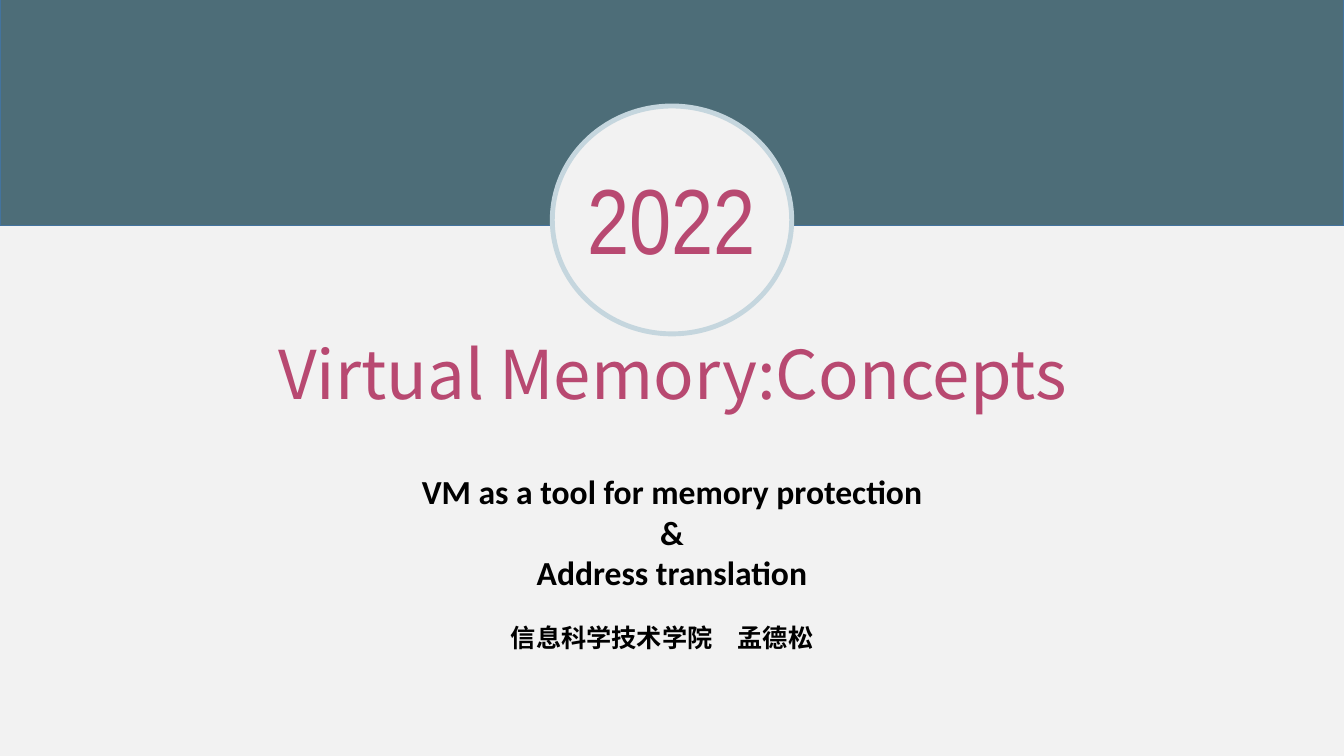
from pptx import Presentation
from pptx import util as u
from pptx.dml.color import RGBColor
from pptx.enum import shapes, text

PX = 9525  # EMU per px, 96 px to the inch
COLORS = {
    "paper": "F2F2F2",
    "band": "4D6D78",
    "band_line": "43739E",
    "ring": "C5D6DE",
    "accent": "B84971",
    "ink": "000000",
}


def px(*lengths):
    return [u.Emu(length * PX) for length in lengths]


def color(name):
    return RGBColor.from_string(COLORS[name])


def add_filled_shape(slide, kind, box, fill, line, line_width):
    shape = slide.shapes.add_shape(kind, *px(*box))
    shape.shadow.inherit = False
    shape.fill.solid()
    shape.fill.fore_color.rgb = color(fill)
    shape.line.color.rgb = color(line)
    shape.line.width = u.Pt(line_width)


def write_centred(shape, box, lines, font_name, size, ink, bold=False, wrap=True):
    shape.left, shape.top, shape.width, shape.height = px(*box)
    frame = shape.text_frame
    frame.word_wrap = wrap
    frame.auto_size = text.MSO_AUTO_SIZE.NONE
    frame.vertical_anchor = text.MSO_ANCHOR.TOP
    for index, line in enumerate(lines):
        paragraph = frame.add_paragraph() if index else frame.paragraphs[0]
        paragraph.alignment = text.PP_ALIGN.CENTER
        paragraph.space_before = u.Pt(0)
        run = paragraph.add_run()
        run.text = line
        run.font.name = font_name
        run.font.size = u.Pt(size)
        run.font.bold = bold
        run.font.color.rgb = color(ink)


def main():
    presentation = Presentation()
    presentation.slide_width, presentation.slide_height = px(1280, 720)
    slide = presentation.slides.add_slide(presentation.slide_layouts[0])
    slide.background.fill.solid()
    slide.background.fill.fore_color.rgb = color("paper")

    # Top band
    add_filled_shape(slide, shapes.MSO_SHAPE.RECTANGLE, (0, -2, 1280, 217),
                     "band", "band_line", 1)

    # Title and subtitle
    write_centred(slide.shapes.title, (143, 312, 995, 87),
                  ["Virtual Memory:Concepts"], "Noto Sans CJK SC", 48, "accent")
    write_centred(slide.placeholders[1], (386, 444, 508, 126),
                  ["VM as a tool for memory protection", "&", "Address translation"],
                  "Calibri", 24, "ink", bold=True)

    # School and author
    author = slide.shapes.add_textbox(0, 0, 0, 0)
    write_centred(author, (405, 588, 451, 38), ["信息科学技术学院　孟德松"],
                  "Calibri", 18, "ink", bold=True)

    # Year badge
    add_filled_shape(slide, shapes.MSO_SHAPE.OVAL, (526, 101, 228, 217),
                     "paper", "ring", 3.5)
    year = slide.shapes.add_textbox(0, 0, 0, 0)
    write_centred(year, (540, 150, 199, 116), ["2022"],
                  "Arial Narrow", 66, "accent", wrap=False)

    presentation.save("out.pptx")


if __name__ == "__main__":
    main()
